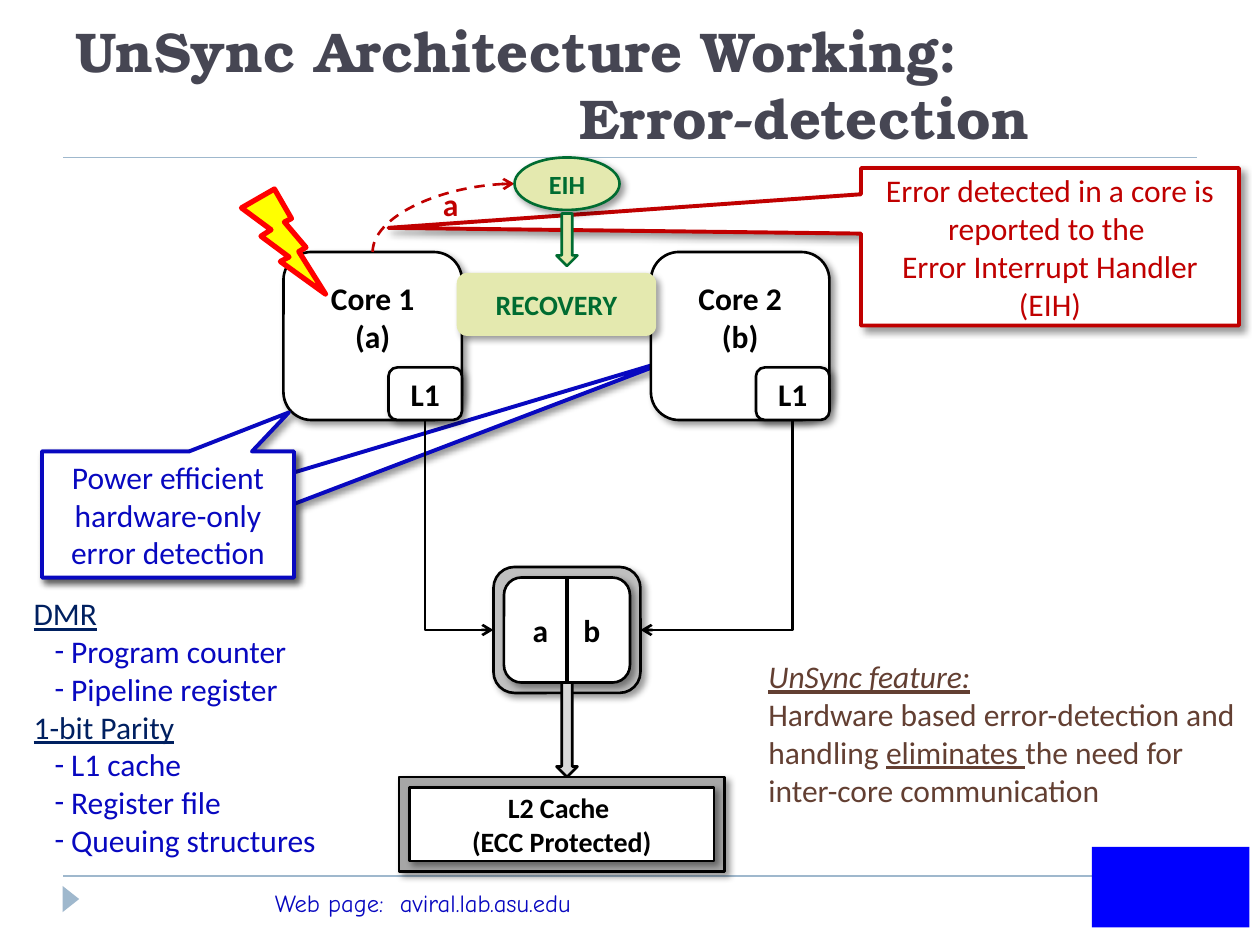
from lxml import etree
from pptx import Presentation
from pptx.dml.color import RGBColor
from pptx.enum import dml, shapes, text
from pptx.oxml import ns
from pptx.util import Pt

COLORS = {
    "black": "000000", "white": "FFFFFF", "rule": "9FB8CD", "title": "464653",
    "blue": "0808C0", "navy": "002060", "red": "C00000", "brown": "633F32",
    "green": "006C31", "lime": "E4E9AF", "gray": "BFBFBF", "dark_gray": "A6A6A6",
    "light_gray": "D9D9D9", "yellow": "FFFF00", "bolt": "FF0000", "emblem": "0000FF",
}
SHAPE = shapes.MSO_SHAPE
LINK = shapes.MSO_CONNECTOR
ALIGN = text.PP_ALIGN
ANCHOR = text.MSO_ANCHOR


def rgb(name):
    return RGBColor.from_string(COLORS[name])


def add_xml(parent, tag, **attributes):
    return etree.SubElement(parent, ns.qn(tag), attributes)


class Diagram:
    """Holds the text style and the slide being filled."""

    def __init__(self, slide, font="Calibri", size=18):
        self.slide, self.font, self.size = slide, font, size

    def add_words(self, paragraph, words, color, style="", size=None, font=None):
        """Add one run; style holds any of the letters b, i and u."""
        run = paragraph.add_run()
        run.text = words
        run.font.name = font or self.font
        run.font.size = Pt(size or self.size)
        run.font.color.rgb = rgb(color)
        run.font.bold = "b" in style
        run.font.italic = "i" in style
        run.font.underline = "u" in style

    def fill_frame(self, frame, lines, color, style="", size=None, font=None, align=ALIGN.LEFT):
        """Fill a frame; a line is a string or a list of (words, style) runs."""
        frame.word_wrap = True
        for i, line in enumerate(lines):
            paragraph = frame.paragraphs[0] if i == 0 else frame.add_paragraph()
            paragraph.alignment = align
            for words, look in [(line, style)] if isinstance(line, str) else line:
                self.add_words(paragraph, words, color, look, size, font)

    def label(self, box, lines, color, **look):
        frame = self.slide.shapes.add_textbox(*map(Pt, box)).text_frame
        self.fill_frame(frame, lines, color, **look)

    def block(self, kind, box, fill, line=None, width=1.5, shadow=True, adjust=()):
        shape = self.slide.shapes.add_shape(kind, *map(Pt, box))
        shape.shadow.inherit = False
        for i, value in enumerate(adjust):
            shape.adjustments[i] = value
        shape.fill.solid()
        shape.fill.fore_color.rgb = rgb(fill)
        if line:
            shape.line.color.rgb = rgb(line)
            shape.line.width = Pt(width)
        else:
            shape.line.fill.background()
        if shadow:
            effects = shape._element.spPr.find(ns.qn("a:effectLst"))
            outer = add_xml(effects, "a:outerShdw", blurRad=str(Pt(4)), dist=str(Pt(3)),
                            dir="2700000", algn="tl", rotWithShape="0")
            tone = add_xml(outer, "a:srgbClr", val=COLORS["black"])
            add_xml(tone, "a:alpha", val="40000")
        return shape

    def caption(self, shape, lines, color="black", style="b", size=None, align=ALIGN.CENTER):
        frame = shape.text_frame
        frame.vertical_anchor = ANCHOR.MIDDLE
        self.fill_frame(frame, lines, color, style, size, align=align)

    def link(self, start, end, color="black", width=1.5, kind=LINK.STRAIGHT,
             one_turn=None, arrow=False):
        """Connect two points; one_turn names the preset that leaves sideways and turns once."""
        connector = self.slide.shapes.add_connector(kind, *map(Pt, start + end))
        connector.line.color.rgb = rgb(color)
        connector.line.width = Pt(width)
        properties = connector._element.spPr
        if one_turn:
            properties.find(ns.qn("a:prstGeom")).set("prst", one_turn)
        if arrow:
            add_xml(properties.find(ns.qn("a:ln")), "a:headEnd", type="arrow")
        add_xml(properties, "a:effectLst")
        return connector

    def tab(self, paragraph, position):
        stops = add_xml(paragraph._p.get_or_add_pPr(), "a:tabLst")
        add_xml(stops, "a:tab", pos=str(Pt(position)), algn="l")

    def title(self, box, first, second, tab):
        holder = self.slide.shapes.title
        holder.left, holder.top, holder.width, holder.height = map(Pt, box)
        frame = holder.text_frame
        frame.auto_size = text.MSO_AUTO_SIZE.NONE
        frame.vertical_anchor = ANCHOR.BOTTOM
        paragraph = frame.paragraphs[0]
        paragraph.alignment = ALIGN.LEFT
        self.tab(paragraph, tab)
        look = ("title", "b", 32, "TeX Gyre Bonum")
        self.add_words(paragraph, first, *look)
        paragraph.add_line_break()
        self.add_words(paragraph, "\t" + second, *look)

    def body(self, box, sections):
        """Add underlined headings, each followed by its dashed items."""
        holder = self.slide.placeholders[1]
        holder.left, holder.top, holder.width, holder.height = map(Pt, box)
        frame = holder.text_frame
        frame.auto_size = text.MSO_AUTO_SIZE.NONE
        rows = []
        for heading, items in sections.items():
            rows += [(heading, True)] + [(item, False) for item in items]
        for i, (words, is_heading) in enumerate(rows):
            paragraph = frame.paragraphs[0] if i == 0 else frame.add_paragraph()
            properties = paragraph._p.get_or_add_pPr()
            properties.set("marL", str(Pt(0 if is_heading else 21.5)))
            properties.set("indent", str(Pt(0 if is_heading else -9.5)))
            if is_heading:
                add_xml(properties, "a:buNone")
            else:
                add_xml(properties, "a:buFont", typeface=self.font)
                add_xml(properties, "a:buChar", char="-")
            paragraph.space_before = Pt(0)
            self.add_words(paragraph, words, *(("navy", "u") if is_heading else ("blue",)))


def add_core(diagram, left, lines):
    """Draw a core with its L1 cache in the corner and return the cache."""
    core = diagram.block(SHAPE.ROUNDED_RECTANGLE, (left, 144, 102, 96), "white", "black")
    core.text_frame.margin_bottom = Pt(25.6)
    diagram.caption(core, lines)
    cache = diagram.block(SHAPE.ROUNDED_RECTANGLE, (left + 60, 210, 42, 30), "white", "black")
    diagram.caption(cache, ["L1"])
    return cache


def main():
    deck = Presentation()
    deck.slide_width, deck.slide_height = Pt(720), Pt(540)
    diagram = Diagram(deck.slides.add_slide(deck.slide_layouts[1]))

    # Frame of the page
    diagram.title((36, 12, 648, 78), "UnSync Architecture Working:", "Error-detection", 288)
    diagram.link((36, 500.4), (624, 500.4), "rule", 1)
    diagram.link((36, 90), (684, 90), "rule", 1)
    marker = diagram.block(SHAPE.ISOSCELES_TRIANGLE, (33, 509, 15, 9.5), "rule", shadow=False)
    marker.rotation = 90
    diagram.label((150, 504, 270, 24.5), ["Web page:  aviral.lab.asu.edu"], "blue",
                  size=14, font="Comic Neue")
    diagram.block(SHAPE.RECTANGLE, (624, 484, 90, 46), "emblem", shadow=False)

    # Cores, shared buffer and L2 cache
    detection_box = (24, 258, 144, 72)
    diagram.block(SHAPE.RECTANGULAR_CALLOUT, detection_box, "white", "blue", 2.25,
                  adjust=(2.03, -1.25))
    buffer = diagram.block(SHAPE.ROUNDED_RECTANGLE, (282, 324, 84, 72), "gray", "black")
    caches = [add_core(diagram, 162, ["Core 1", "(a)"]),
              add_core(diagram, 372, ["Core 2", "(b)"])]
    entries = diagram.block(SHAPE.ROUNDED_RECTANGLE, (288, 330, 72, 60), "white", "black")
    entries.text_frame.margin_left = Pt(13.5)
    diagram.tab(entries.text_frame.paragraphs[0], 29)
    diagram.caption(entries, ["a\tb"], align=ALIGN.LEFT)
    diagram.block(SHAPE.RECTANGLE, (228, 444, 186, 54), "dark_gray", "black")
    l2_cache = diagram.block(SHAPE.RECTANGLE, (234, 450, 174, 42), "white", "black")
    diagram.caption(l2_cache, ["L2 Cache ", "(ECC Protected)"], size=16)
    diagram.block(SHAPE.DOWN_ARROW, (318, 390, 12, 54), "light_gray", "black", shadow=False)
    divider = diagram.link((324, 330), (324, 390), width=2.25)
    divider.begin_connect(entries, 0)
    divider.end_connect(entries, 2)
    for cache, side, start, end in zip(caches, (1, 3), (282, 366), (243, 453)):
        store_route = diagram.link((start, 360), (end, 240), kind=LINK.ELBOW,
                                   one_turn="bentConnector2", arrow=True)
        store_route.begin_connect(buffer, side)
        store_route.end_connect(cache, 2)

    # Error detection and recovery
    detection = diagram.block(SHAPE.RECTANGULAR_CALLOUT, detection_box, "white", "blue", 2.25,
                              adjust=(0.48, -0.81))
    diagram.caption(detection, ["Power efficient hardware-only error detection"], "blue", "")
    report = diagram.link((294, 105), (213, 144), "red", kind=LINK.CURVE,
                          one_turn="curvedConnector2", arrow=True)
    report.line.dash_style = dml.MSO_LINE.DASH
    handler_note = diagram.block(SHAPE.RECTANGULAR_CALLOUT, (492, 96, 216, 90), "white", "red",
                                 2.25, adjust=(-1.75, -0.12))
    diagram.caption(handler_note, ["Error detected in a core is reported to the ",
                                   "Error Interrupt Handler (EIH)"], "red", "")
    recovery = diagram.block(SHAPE.ROUNDED_RECTANGLE, (261, 156, 114, 36), "lime")
    diagram.caption(recovery, ["RECOVERY"], "green", size=16)
    handler = diagram.block(SHAPE.OVAL, (294, 90, 60, 30), "lime", "green")
    diagram.caption(handler, ["EIH"], "green", size=15)
    diagram.block(SHAPE.DOWN_ARROW, (318, 122, 12, 30), "lime", "green", shadow=False)
    diagram.label((246, 102, 24.5, 29), ["a"], "red", style="b")
    diagram.block(SHAPE.LIGHTNING_BOLT, (138, 108, 48, 60), "yellow", "bolt", 3, shadow=False)

    # Explanations
    diagram.body((12, 336, 204, 160), {
        "DMR": ["Program counter", "Pipeline register"],
        "1-bit Parity": ["L1 cache", "Register file", "Queuing structures"],
    })
    diagram.label((432, 372, 282, 94), [
        [("UnSync feature:", "iu")],
        [("Hardware based error-detection and handling ", ""), ("eliminates ", "u"),
         ("the need for inter-core communication", "")],
    ], "brown")
    deck.save("out.pptx")


if __name__ == "__main__":
    main()
